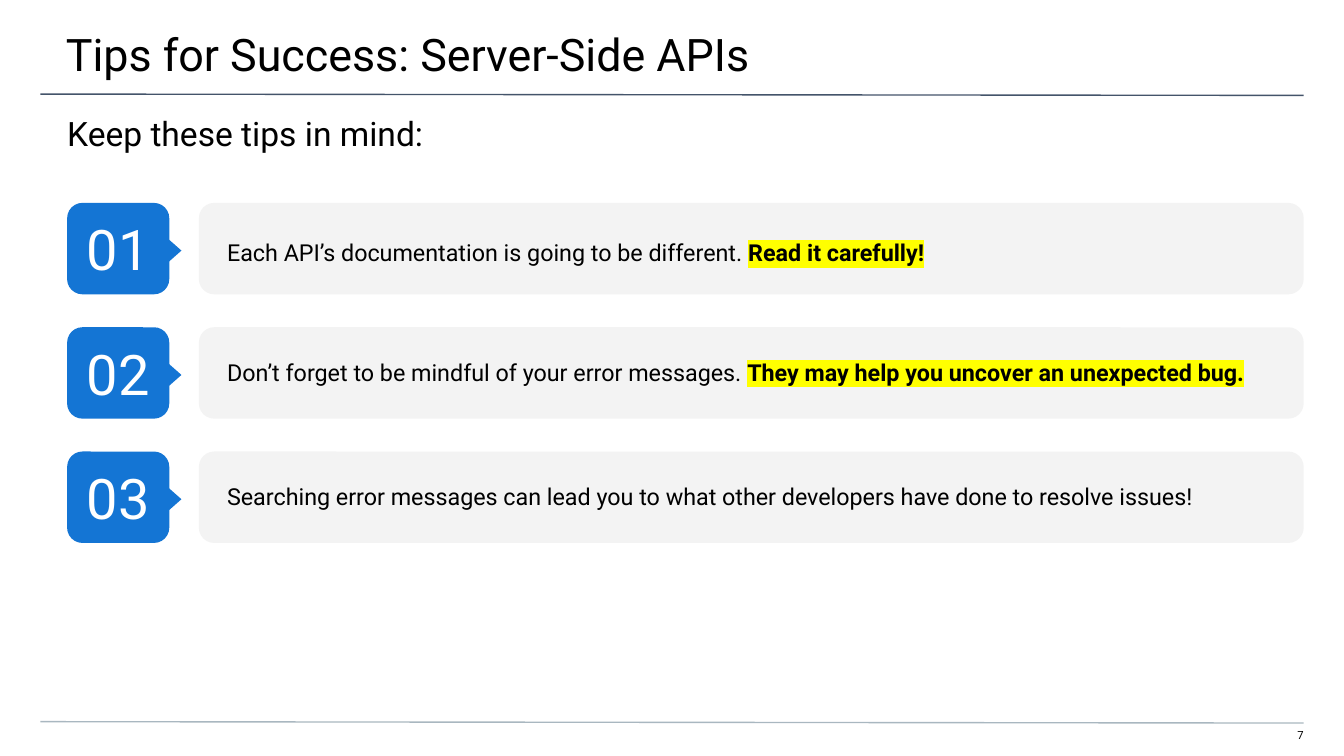
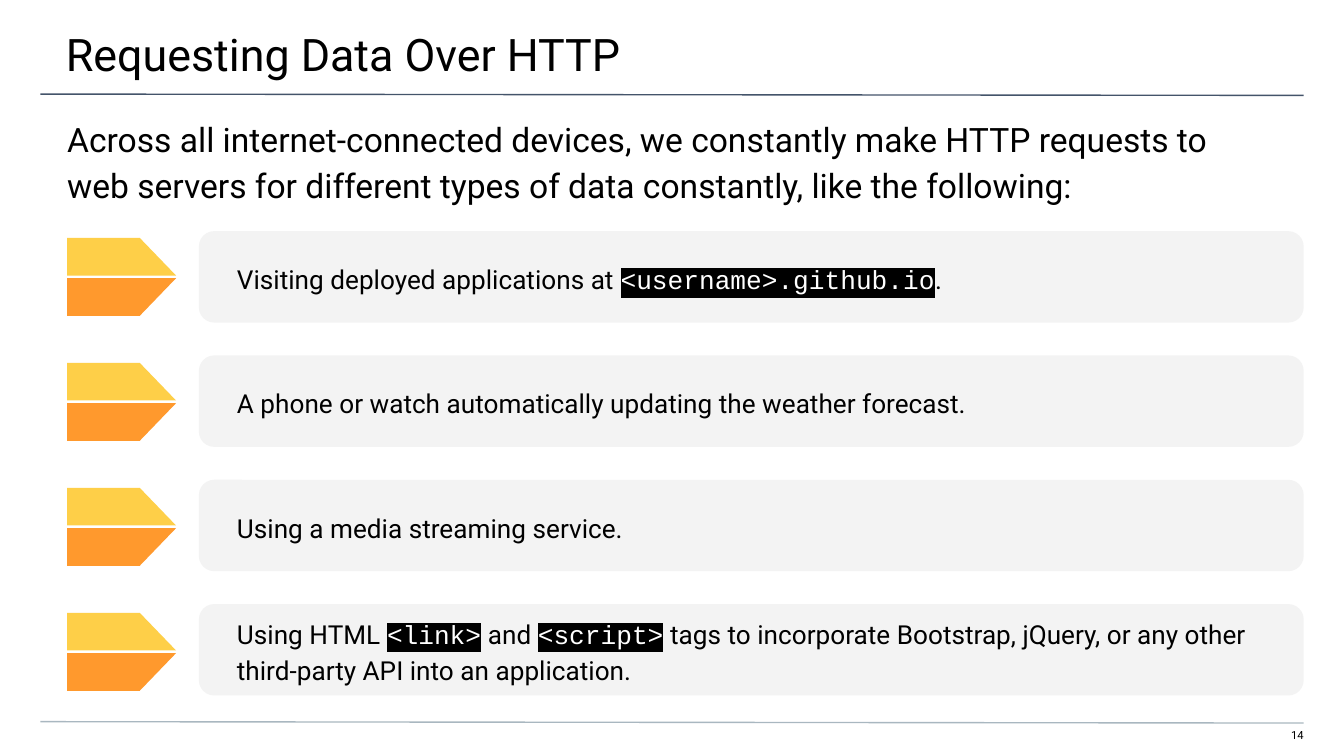
from lxml.etree import SubElement
from pptx import Presentation
from pptx.dml.color import RGBColor
from pptx.enum.shapes import MSO_CONNECTOR, MSO_SHAPE
from pptx.enum.text import MSO_ANCHOR, MSO_AUTO_SIZE, PP_ALIGN
from pptx.oxml.ns import qn
from pptx.util import Inches, Pt

BLACK, WHITE = "000000", "FFFFFF"
RULE_TOP, RULE_BOTTOM = "44546A", "A9B7C0"
PANEL_GRAY, BADGE_BLUE = "F3F3F3", "1475D4"
ARROW_YELLOW, ARROW_ORANGE = "FECF48", "FF992D"
BODY_FONT = "Roboto"

PLAIN = {}
MARKED = {"bold": True, "highlight": "FFFF00"}
CODE = {"font": "Courier New", "color": WHITE, "highlight": BLACK}

LEFT = 0.5
PANEL_LEFT, PANEL_WIDTH = 1.48, 8.22
ROW_HEIGHT, ROW_PITCH = 0.68, 1.85 / 2

# Each tip has the top of its text and the text itself.
TIPS_TOP = 1.51
TIPS = [
    (1.55, [("Each API’s documentation is going to be different. ", PLAIN),
            ("Read it carefully!", MARKED), (" ", PLAIN)]),
    (2.44, [("Don’t forget to be mindful of your error messages. ", PLAIN),
            ("They may help you uncover an unexpected bug.", MARKED)]),
    (3.36, "Searching error messages can lead you to what other developers "
           "have done to resolve issues!"),
]

REQUESTS_TOP = 1.72
ARROWS_TOP, ARROW_PITCH = 1.77, 0.93
REQUESTS = [
    [("Visiting deployed applications at ", PLAIN),
     ("<username>.github.io", CODE), (".", PLAIN)],
    "A phone or watch automatically updating the weather forecast.",
    "Using a media streaming service.",
    [("Using HTML ", PLAIN), ("<link>", CODE), (" and ", PLAIN),
     ("<script>", CODE),
     (" tags to incorporate Bootstrap, jQuery, or any other third-party API "
      "into an application.", PLAIN)],
]


def rgb(hex_color):
    return RGBColor.from_string(hex_color)


def style_run(run, size, color, font=BODY_FONT, bold=False, highlight=None):
    run.font.size = Pt(size)
    run.font.bold = bold
    run.font.color.rgb = rgb(color)
    if highlight:
        mark = SubElement(run.font._element, qn("a:highlight"))
        SubElement(mark, qn("a:srgbClr"), val=highlight)
    run.font.name = font


def write(frame, content, size, color=BLACK, align=PP_ALIGN.LEFT,
          anchor=MSO_ANCHOR.TOP, spacing=1.0, insets=(0.1, 0.1, 0.1, 0.1)):
    """Fill a text frame with a string or a list of (text, style) runs."""
    frame.word_wrap = True
    frame.auto_size = MSO_AUTO_SIZE.NONE
    frame.vertical_anchor = anchor
    (frame.margin_left, frame.margin_top,
     frame.margin_right, frame.margin_bottom) = map(Inches, insets)
    paragraph = frame.paragraphs[0]
    paragraph.alignment = align
    paragraph.line_spacing = spacing
    runs = [(content, PLAIN)] if isinstance(content, str) else content
    for text, style in runs:
        run = paragraph.add_run()
        run.text = text
        style_run(run, size, **{"color": color, **style})


def paint(shape, color):
    shape.fill.solid()
    shape.fill.fore_color.rgb = rgb(color)
    shape.line.fill.background()
    shape.shadow.inherit = False


def add_block(shapes, kind, box, color):
    block = shapes.add_shape(kind, *map(Inches, box))
    paint(block, color)
    return block


def add_label(slide, box, content, size, **text_format):
    label = slide.shapes.add_textbox(*map(Inches, box))
    write(label.text_frame, content, size, **text_format)


def add_rule(slide, top, color):
    """Draw a thin line across the slide, dropping slightly to the right."""
    ends = map(Inches, (0.3, top, 9.7, top + 0.01))
    rule = slide.shapes.add_connector(MSO_CONNECTOR.STRAIGHT, *ends)
    rule.line.color.rgb = rgb(color)
    rule.line.width = Pt(0.75)
    SubElement(rule._element.spPr, qn("a:effectLst"))


def add_page(deck, title, intro, number, intro_spacing=1.0):
    """Add a slide with everything that all slides share."""
    slide = deck.slides.add_slide(deck.slide_layouts[5])
    add_label(slide, (9.41, 5.42, 0.29, 0.12), number, 6,
              align=PP_ALIGN.RIGHT, insets=(0, 0, 0, 0.1))
    add_rule(slide, 0.7, RULE_TOP)
    add_rule(slide, 5.37, RULE_BOTTOM)
    heading = slide.shapes.title
    heading.left, heading.top = Inches(-0.01), Inches(0)
    heading.width, heading.height = Inches(10.03), Inches(0.58)
    write(heading.text_frame, title, 24, insets=(LEFT, 0.2, 0.3, 0.1))
    add_label(slide, (0, 0.74, 10, 0.4), intro, 18,
              spacing=intro_spacing, insets=(LEFT, 0.1, LEFT, 0))
    return slide


def add_panel(slide, top):
    return add_block(slide.shapes, MSO_SHAPE.ROUNDED_RECTANGLE,
                     (PANEL_LEFT, top, PANEL_WIDTH, ROW_HEIGHT), PANEL_GRAY)


def add_badge(slide, top, number):
    """Add a numbered tile with a pointer towards its panel."""
    parts = slide.shapes.add_group_shape().shapes
    tile = add_block(parts, MSO_SHAPE.ROUNDED_RECTANGLE,
                     (LEFT, top, 0.76, ROW_HEIGHT), BADGE_BLUE)
    write(tile.text_frame, f"{number:02}", 30, color=WHITE,
          align=PP_ALIGN.CENTER, anchor=MSO_ANCHOR.MIDDLE)
    pointer = add_block(parts, MSO_SHAPE.FLOWCHART_EXTRACT,
                        (1.06, top + 0.25, 0.37, 0.21), BADGE_BLUE)
    pointer.rotation = 90


def add_arrow_half(slide, outer, inner, color):
    """Add half an arrow between its outer edge and the arrow's middle."""
    corners = [(LEFT, outer), (LEFT, inner), (1.31, inner), (1.04, outer)]
    points = [(Inches(x), Inches(y)) for x, y in corners]
    builder = slide.shapes.build_freeform(*points[0])
    builder.add_line_segments(points[1:], close=True)
    paint(builder.convert_to_shape(), color)


def add_arrow(slide, top):
    add_arrow_half(slide, top, top + 0.28, ARROW_YELLOW)
    add_arrow_half(slide, top + 0.58, top + 0.3, ARROW_ORANGE)


def build_tips(deck):
    slide = add_page(deck, "Tips for Success: Server-Side APIs",
                     "Keep these tips in mind:", "7")
    for row, (text_top, tip) in enumerate(TIPS):
        top = TIPS_TOP + row * ROW_PITCH
        add_panel(slide, top)
        add_badge(slide, top, row + 1)
        add_label(slide, (-0.01, text_top, 10.03, 0.66), tip, 12.5,
                  anchor=MSO_ANCHOR.MIDDLE, insets=(1.7, 0, LEFT, 0))


def build_requests(deck):
    slide = add_page(
        deck, "Requesting Data Over HTTP",
        "Across all internet-connected devices, we constantly make HTTP "
        "requests to web servers for different types of data constantly, "
        "like the following:", "14", intro_spacing=1.15)
    for row, request in enumerate(REQUESTS):
        add_arrow(slide, ARROWS_TOP + row * ARROW_PITCH)
        panel = add_panel(slide, REQUESTS_TOP + row * ROW_PITCH)
        write(panel.text_frame, request, 14, anchor=MSO_ANCHOR.MIDDLE,
              spacing=1.15, insets=(0.25, 0.1, 0.1, 0.1))


def main():
    deck = Presentation()
    deck.slide_width = Inches(10)
    deck.slide_height = deck.slide_width * 9 // 16
    build_tips(deck)
    build_requests(deck)
    deck.save("out.pptx")


if __name__ == "__main__":
    main()
